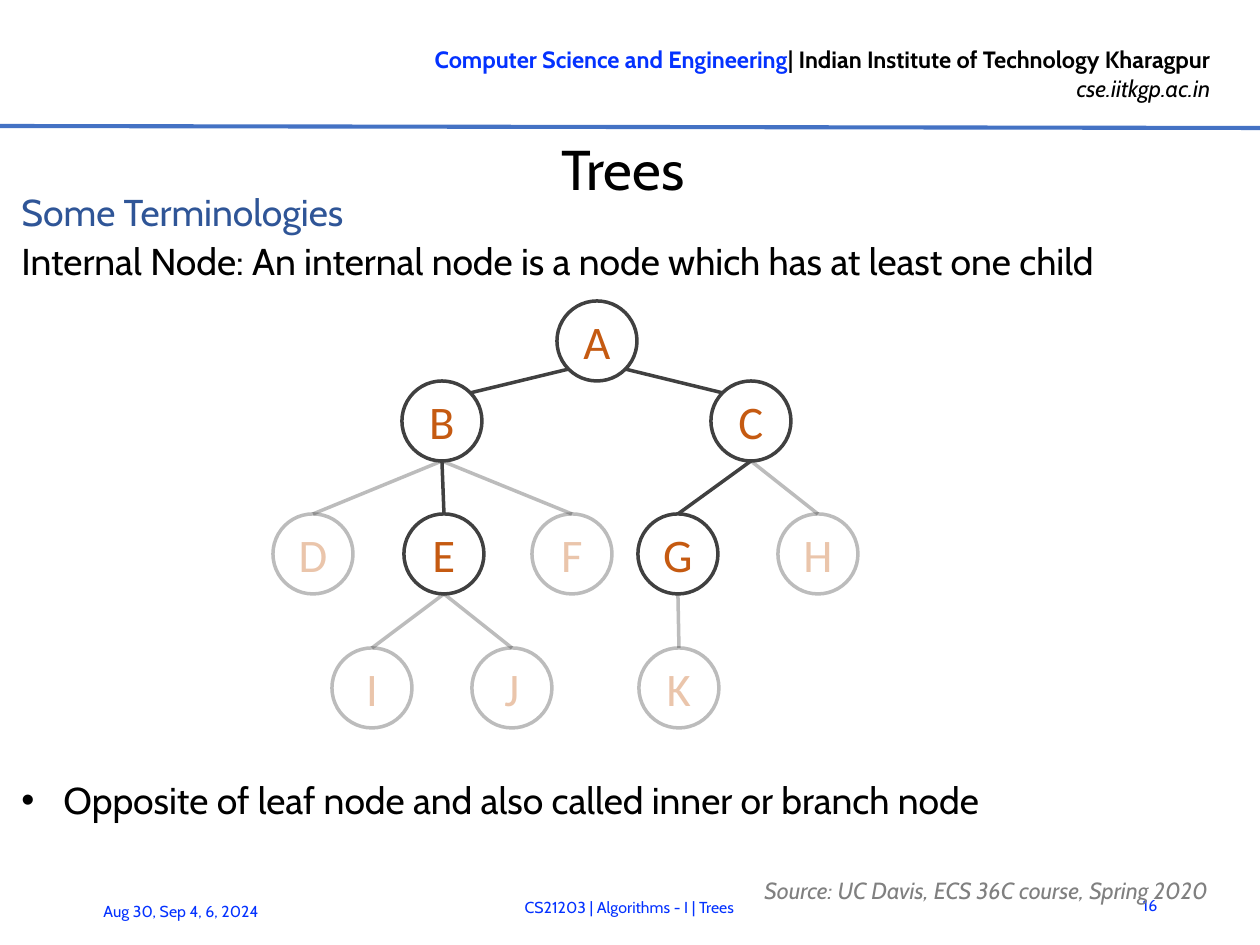
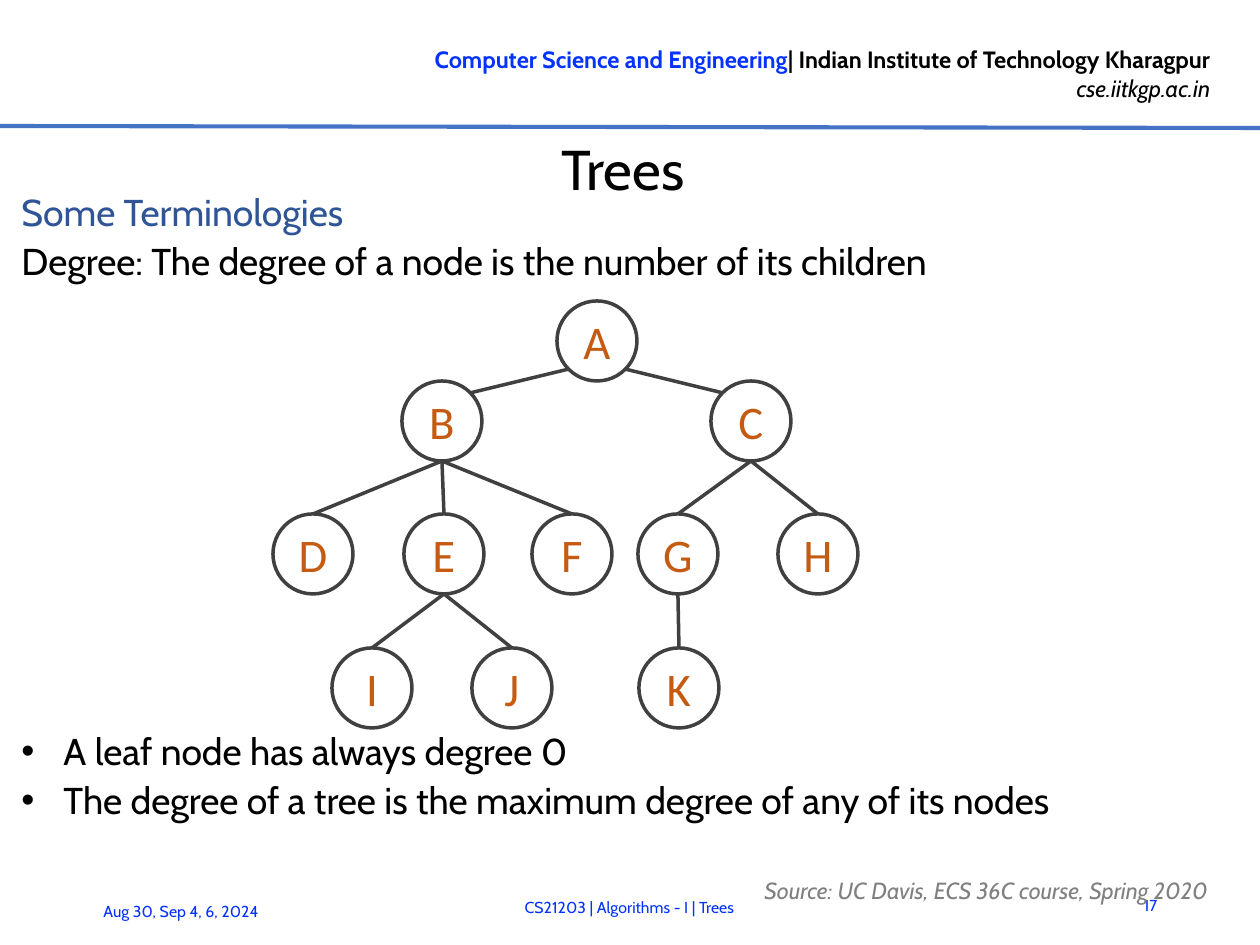
from lxml import etree
from pptx import Presentation
from pptx import util as u
from pptx.dml.color import RGBColor
from pptx.enum import shapes, text
from pptx.oxml import ns

PX = 5443
BLACK = RGBColor(0x00, 0x00, 0x00)
BLUE = RGBColor(0x04, 0x32, 0xFF)
RULE_BLUE = RGBColor(0x44, 0x72, 0xC4)
HEADING_BLUE = RGBColor(0x2F, 0x55, 0x97)
GREY = RGBColor(0x80, 0x80, 0x80)
DARK = RGBColor(0x40, 0x40, 0x40)
ORANGE = RGBColor(0xC5, 0x5A, 0x11)
LEFT, CENTER, RIGHT = text.PP_ALIGN.LEFT, text.PP_ALIGN.CENTER, text.PP_ALIGN.RIGHT
TOP, MIDDLE = text.MSO_ANCHOR.TOP, text.MSO_ANCHOR.MIDDLE

RADIUS = 40
DIAGONAL = 28
NODES = {
    "A": (597, 341),
    "B": (442, 421), "C": (751, 421),
    "D": (313, 554), "E": (444, 554), "F": (572, 554), "G": (678, 554), "H": (818, 554),
    "I": (372, 688), "J": (512, 688), "K": (679, 688),
}
EDGES = ["AB", "AC", "BD", "BE", "BF", "CG", "CH", "EI", "EJ", "GK"]
LINE_PITCH = 49
LAST_BULLET_TOP = 774

SLIDES = [
    ("16", "Internal Node: An internal node is a node which has at least one child",
     ["Opposite of leaf node and also called inner or branch node"], "DFHIJK"),
    ("17", "Degree: The degree of a node is the number of its children",
     ["A leaf node has always degree 0",
      "The degree of a tree is the maximum degree of any of its nodes"], ""),
]


def write(frame, words, size=16, color=BLACK, font="Cabin", bold=False, italic=False,
          align=LEFT, anchor=TOP, spacing=None, after=0, bullet=False, join=False):
    frame.word_wrap = True
    frame.vertical_anchor = anchor
    paragraph = frame.paragraphs[-1]
    if paragraph.runs and not join:
        paragraph = frame.add_paragraph()
    if bullet:
        properties = paragraph._p.get_or_add_pPr()
        properties.set("marL", str(42 * PX))
        properties.set("indent", str(-42 * PX))
        etree.SubElement(properties, ns.qn("a:buFont"), typeface="Arial")
        etree.SubElement(properties, ns.qn("a:buChar"), char="•")
    paragraph.alignment = align
    paragraph.space_after = u.Pt(after)
    if spacing:
        paragraph.line_spacing = u.Pt(spacing)
    run = paragraph.add_run()
    run.text = words
    run.font.name, run.font.size = font, u.Pt(size)
    run.font.bold, run.font.italic = bold, italic
    run.font.color.rgb = color
    return frame


def draw_line(slide, start, end, color, width):
    line = slide.shapes.add_connector(
        shapes.MSO_CONNECTOR.STRAIGHT, *[value * PX for value in (*start, *end)])
    line.line.color.rgb = color
    line.line.width = u.Pt(width)
    etree.SubElement(line.element.spPr, ns.qn("a:effectLst"))
    return line


presentation = Presentation()
presentation.slide_width, presentation.slide_height = 1260 * PX, 945 * PX
layout = presentation.slide_layouts[5]
for placeholder in list(layout.placeholders)[1:]:
    layout.shapes.element.remove(placeholder.element)
slides = [presentation.slides.add_slide(layout) for _ in SLIDES]

header = slides[0].shapes.add_textbox(321 * PX, 37 * PX, 906 * PX, 74 * PX)
write(header.text_frame, "Computer Science and Engineering", size=10.1, color=BLUE, bold=True, align=RIGHT)
write(header.text_frame, "| Indian Institute of Technology Kharagpur", size=10.1, bold=True,
      align=RIGHT, join=True)
write(header.text_frame, "cse.iitkgp.ac.in", size=10.1, italic=True, align=RIGHT)
rule = draw_line(slides[0], (0, 126), (1260, 128), RULE_BLUE, 1.75)
for shared in (header, rule):
    layout.shapes.element.append(shared.element)

for slide, (number, definition, bullets, faded) in zip(slides, SLIDES):
    title = slide.shapes.title
    title.left, title.top, title.width, title.height = 40 * PX, 133 * PX, 1166 * PX, 69 * PX
    frame = write(title.text_frame, "Trees", size=24, align=CENTER, anchor=MIDDLE)
    frame.auto_size = text.MSO_AUTO_SIZE.NONE
    frame.margin_left = frame.margin_right = frame.margin_bottom = 0
    frame.margin_top = 2 * PX

    intro = slide.shapes.add_textbox(5 * PX, 186 * PX, 1238 * PX, 110 * PX)
    write(intro.text_frame, "Some Terminologies", color=HEADING_BLUE, spacing=17, after=4)
    write(intro.text_frame, definition, spacing=17)

    bullets_top = LAST_BULLET_TOP - LINE_PITCH * (len(bullets) - 1)
    notes = slide.shapes.add_textbox(
        5 * PX, bullets_top * PX, 1238 * PX, (LINE_PITCH * len(bullets) + 12) * PX)
    for bullet in bullets:
        write(notes.text_frame, bullet, spacing=17, after=4, bullet=True)

    for words, left, top, width, height, style in [
        (number, 1112, 880, 62, 50, dict(size=6.8, color=BLUE, align=RIGHT)),
        ("Aug 30, Sep 4, 6, 2024", 87, 886, 220, 50, dict(size=6.8, color=BLUE)),
        ("CS21203 | Algorithms - I | Trees", 208, 882, 843, 50,
         dict(size=6.8, color=BLUE, align=CENTER)),
        ("Source: UC Davis, ECS 36C course, Spring 2020", 748, 869, 507, 29,
         dict(size=10, color=GREY, italic=True, spacing=18)),
    ]:
        box = slide.shapes.add_textbox(left * PX, top * PX, width * PX, height * PX)
        write(box.text_frame, words, anchor=MIDDLE, **style)

    tree_parts = []
    for name, (x, y) in NODES.items():
        node = slide.shapes.add_shape(
            shapes.MSO_SHAPE.OVAL, (x - RADIUS) * PX, (y - RADIUS) * PX,
            2 * RADIUS * PX, 2 * RADIUS * PX)
        node.shadow.inherit = False
        node.fill.background()
        node.line.color.rgb = DARK
        node.line.width = u.Pt(1.5)
        frame = write(node.text_frame, name, size=20, color=ORANGE, font="Calibri",
                      align=CENTER, anchor=MIDDLE)
        frame.margin_left = frame.margin_right = frame.margin_top = frame.margin_bottom = 0
        tree_parts.append((name, node))

    for parent, child in EDGES:
        (x1, y1), (x2, y2) = NODES[parent], NODES[child]
        shift, drop = 0, RADIUS
        if parent == "A":
            shift, drop = (DIAGONAL if x2 > x1 else -DIAGONAL), DIAGONAL
        edge = draw_line(slide, (x1 + shift, y1 + drop), (x2 - shift, y2 - drop), DARK, 1.5)
        tree_parts.append((child, edge))

    for name, part in tree_parts:
        if name in faded:
            for color in part.element.iter(ns.qn("a:srgbClr")):
                etree.SubElement(color, ns.qn("a:alpha"), val="35000")

presentation.save("out.pptx")
